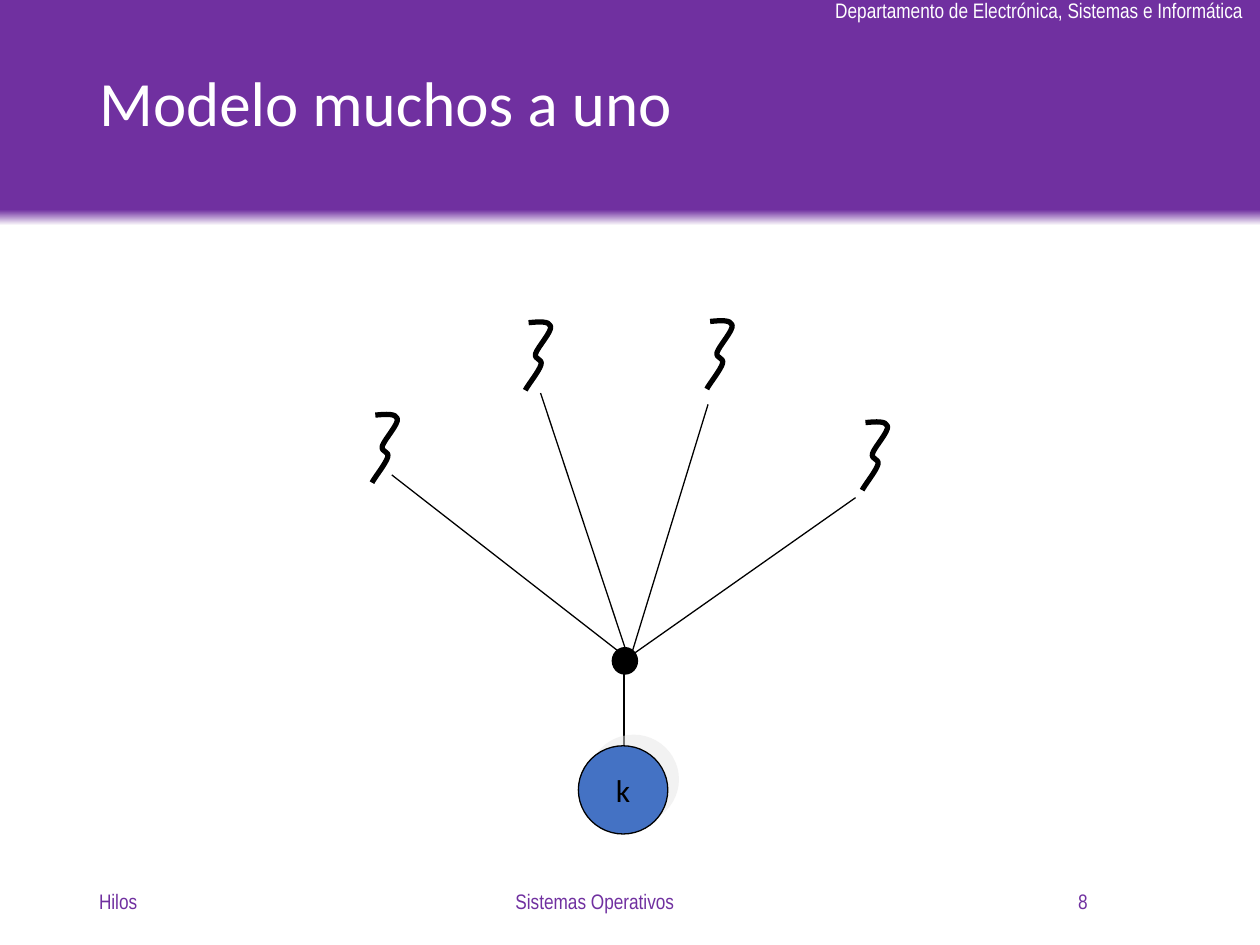
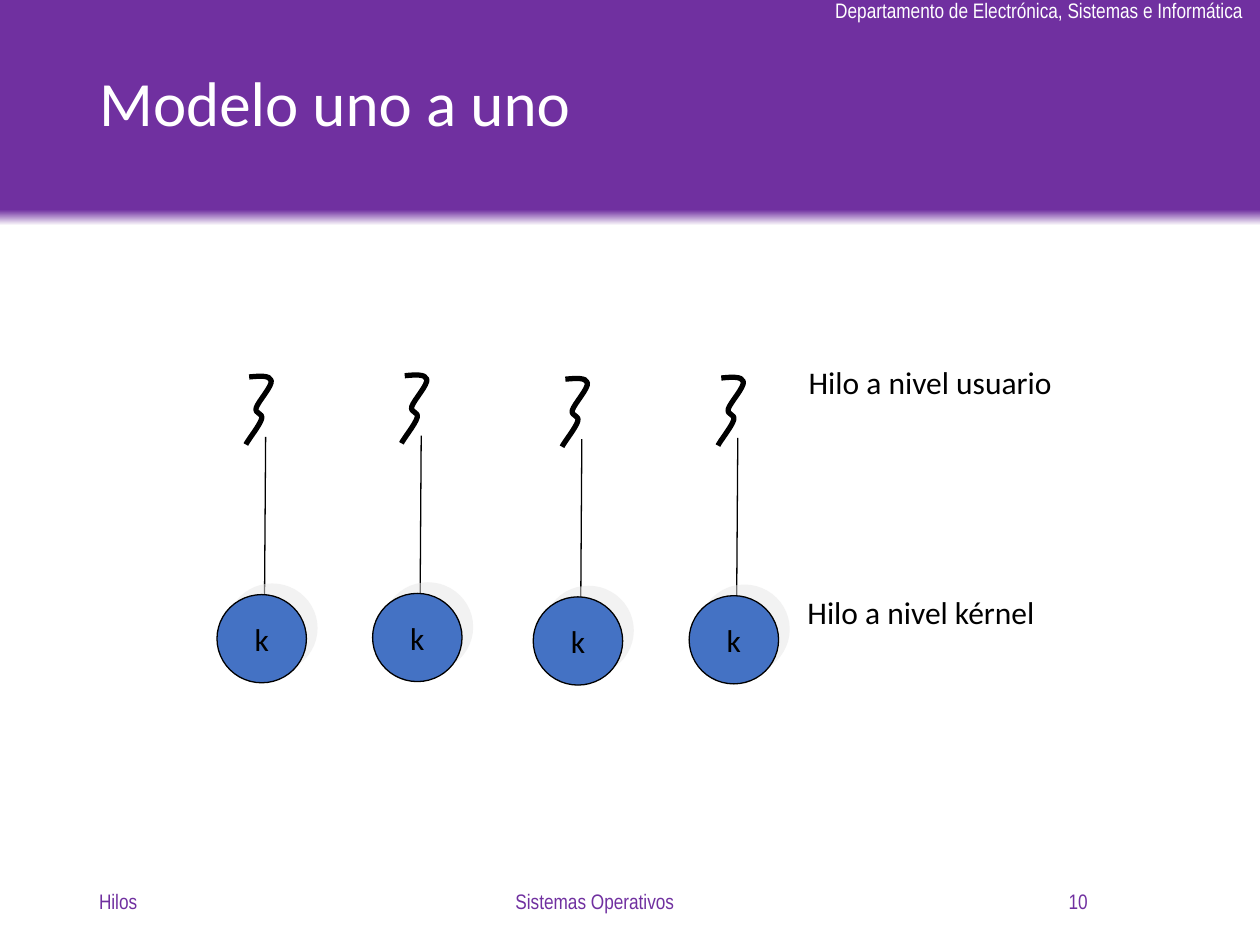
from copy import deepcopy

from lxml.etree import SubElement
from pptx import Presentation
from pptx.dml.color import RGBColor
from pptx.enum.shapes import MSO_CONNECTOR, MSO_SHAPE
from pptx.enum.text import MSO_ANCHOR, MSO_AUTO_SIZE, PP_ALIGN
from pptx.oxml.ns import qn
from pptx.util import Pt

COLOURS = {
    "band": "7030A0",
    "paper": "FFFFFF",
    "ink": "000000",
    "kernel": "4472C4",
    "shadow": "E7E6E6",
}
BODY_FONT = "Calibri"
SMALL_FONT = "Arial Narrow"
SLIDE_WIDTH, SLIDE_HEIGHT = 720, 540
THIN, THICK = 0.75, 3

# Start point of a thread squiggle, then three control points per curve
SQUIGGLE = [
    (1.9, 1),
    (7.9, 0.4), (13.7, 0), (14.5, 3),
    (15.3, 6.1), (7, 15), (5.9, 18.7),
    (5, 22.4), (10, 21.3), (9, 25),
    (8, 28.6), (1.2, 37), (0, 39.6),
]


def colour(name):
    """Return the named colour of the palette."""
    return RGBColor.from_string(COLOURS[name])


class Deck:
    """Holds the shared style and the slide being drawn."""

    def __init__(self):
        """Open an empty presentation of the right size."""
        self.presentation = Presentation()
        self.presentation.slide_width = Pt(SLIDE_WIDTH)
        self.presentation.slide_height = Pt(SLIDE_HEIGHT)
        self.layout = self.presentation.slide_layouts[5]
        self.slide = None

    def new_slide(self, title, number):
        """Start a slide with its title and footers."""
        first = self.slide is None
        self.slide = self.presentation.slides.add_slide(self.layout)
        if first:
            self.share_header()
        shape = self.slide.shapes.title
        shape.left, shape.top = Pt(49.5), Pt(10.8)
        shape.width, shape.height = Pt(620.6), Pt(100)
        shape.text_frame.auto_size = MSO_AUTO_SIZE.NONE
        self.add_text(shape, title, 36, "paper", anchor=MSO_ANCHOR.MIDDLE)
        shape.text_frame.paragraphs[0].line_spacing = 0.9
        footers = [
            (49.5, 162, "Hilos", PP_ALIGN.LEFT),
            (218.2, 243.4, "Sistemas Operativos", PP_ALIGN.CENTER),
            (466.6, 162, number, PP_ALIGN.RIGHT),
        ]
        for left, width, text, align in footers:
            self.text_box(left, 500.5, width, 28.8, text, 12, "band",
                          font=SMALL_FONT, align=align, anchor=MSO_ANCHOR.MIDDLE)

    def share_header(self):
        """Draw the band and department name and move them to the layout."""
        band = self.shape(MSO_SHAPE.RECTANGLE, 0, 0, SLIDE_WIDTH, 128.9, "band")
        band.line.fill.background()
        band.fill.gradient()
        band.fill.gradient_angle = 90
        low, high = band.fill.gradient_stops
        low.color.rgb, low.position = colour("paper"), 0
        high.color.rgb, high.position = colour("band"), 0.07
        stop = band.element.xpath(".//a:gs")[-1]
        end = deepcopy(stop)
        end.set("pos", "100000")
        stop.addnext(end)
        department = self.text_box(
            470.2, -5, 250.4, 21.8,
            "Departamento de Electrónica, Sistemas e Informática",
            12, "paper", font=SMALL_FONT, grow=True)
        for identifier, shape in enumerate((band, department), 101):
            shape.element.xpath(".//p:cNvPr")[0].set("id", str(identifier))
            self.layout.shapes.element.append(shape.element)

    def add_text(self, shape, text, size, ink, font=BODY_FONT,
                 align=PP_ALIGN.LEFT, anchor=MSO_ANCHOR.TOP, wrap=True):
        """Put one formatted run of text in a shape."""
        frame = shape.text_frame
        frame.word_wrap = wrap
        frame.vertical_anchor = anchor
        paragraph = frame.paragraphs[0]
        paragraph.alignment = align
        run = paragraph.add_run()
        run.text = text
        run.font.name, run.font.size = font, Pt(size)
        run.font.color.rgb = colour(ink)

    def text_box(self, left, top, width, height, text, size, ink,
                 grow=False, **style):
        """Add a text box, optionally unwrapped and fitted to its text."""
        box = self.slide.shapes.add_textbox(
            Pt(left), Pt(top), Pt(width), Pt(height))
        self.add_text(box, text, size, ink, wrap=not grow, **style)
        if grow:
            box.text_frame.auto_size = MSO_AUTO_SIZE.SHAPE_TO_FIT_TEXT
        return box

    def shape(self, kind, left, top, width, height, fill):
        """Add a filled, thinly outlined preset shape."""
        shape = self.slide.shapes.add_shape(
            kind, Pt(left), Pt(top), Pt(width), Pt(height))
        shape.fill.solid()
        shape.fill.fore_color.rgb = colour(fill)
        shape.line.color.rgb = colour("ink")
        shape.line.width = Pt(THIN)
        shape.shadow.inherit = False
        return shape

    def kernel(self, left, top):
        """Add a kernel thread: a circle marked k with a hard shadow."""
        circle = self.shape(MSO_SHAPE.OVAL, left, top, 51.1, 50.4, "kernel")
        effects = circle.element.spPr.find(qn("a:effectLst"))
        shadow = SubElement(effects, qn("a:outerShdw"), blurRad="0",
                            dist=str(Pt(8.5)), dir="18900000",
                            algn="ctr", rotWithShape="0")
        tint = SubElement(shadow, qn("a:srgbClr"), val=COLOURS["shadow"])
        SubElement(tint, qn("a:alpha"), val="50000")
        self.add_text(circle, "k", 18, "ink", align=PP_ALIGN.CENTER,
                      anchor=MSO_ANCHOR.MIDDLE, wrap=False)

    def thread(self, left, top):
        """Add a user thread: a thick curved squiggle."""
        points = [(Pt(left + x), Pt(top + y)) for x, y in SQUIGGLE]
        builder = self.slide.shapes.build_freeform(*points[0])
        builder.add_line_segments(points[1:], close=False)
        squiggle = builder.convert_to_shape()
        squiggle.fill.background()
        squiggle.line.color.rgb = colour("ink")
        squiggle.line.width = Pt(THICK)
        squiggle.shadow.inherit = False
        # Every three straight segments become one Bezier curve
        segments = squiggle.element.xpath(".//a:lnTo")
        outline = segments[0].getparent()
        for start in range(0, len(segments), 3):
            curve = SubElement(outline, qn("a:cubicBezTo"))
            for segment in segments[start:start + 3]:
                curve.append(segment[0])
                outline.remove(segment)

    def line(self, start, end):
        """Add a thin straight line between two points."""
        connector = self.slide.shapes.add_connector(
            MSO_CONNECTOR.STRAIGHT, *[Pt(value) for value in (*start, *end)])
        connector.line.color.rgb = colour("ink")
        connector.line.width = Pt(THIN)
        SubElement(connector.element.spPr, qn("a:effectLst"))


def many_to_one(deck):
    """Draw four user threads joined to one kernel thread."""
    deck.new_slide("Modelo muchos a uno", "8")
    for left, top in [(300.2, 183.4), (403.9, 182.7), (212.6, 236.2), (492.7, 240.5)]:
        deck.thread(left, top)
    links = [
        ((223.9, 271.4), (360, 377.3)),
        ((357.8, 376.6), (488.9, 284.4)),
        ((359.3, 376.6), (308.9, 224.6)),
        ((360, 376.6), (404.6, 231.1)),
    ]
    for start, end in links:
        deck.line(start, end)
    deck.shape(MSO_SHAPE.OVAL, 349.9, 370.1, 14.4, 15.1, "ink")
    deck.line((356.6, 383.8), (356.6, 425.5))
    deck.kernel(330.5, 426.2)


def one_to_one(deck):
    """Draw four user threads, each with its own kernel thread."""
    deck.new_slide("Modelo uno a uno", "10")
    for left, top in [(124, 339.8), (212.9, 339.1), (304.7, 341.1), (393.8, 340.4)]:
        deck.thread(left + 16.5, top - 125.4)
        deck.line((left + 27.8, top - 90.2), (left + 27.2, top))
        deck.kernel(left, top)
    labels = [
        (455, 203.8, 154.8, "Hilo a nivel usuario"),
        (454.3, 335.5, 145.4, "Hilo a nivel kérnel"),
    ]
    for left, top, width, text in labels:
        deck.text_box(left, top, width, 29.5, text, 18, "ink", grow=True)


def main():
    """Build both slides and save the presentation."""
    deck = Deck()
    many_to_one(deck)
    one_to_one(deck)
    deck.presentation.save("out.pptx")


main()
